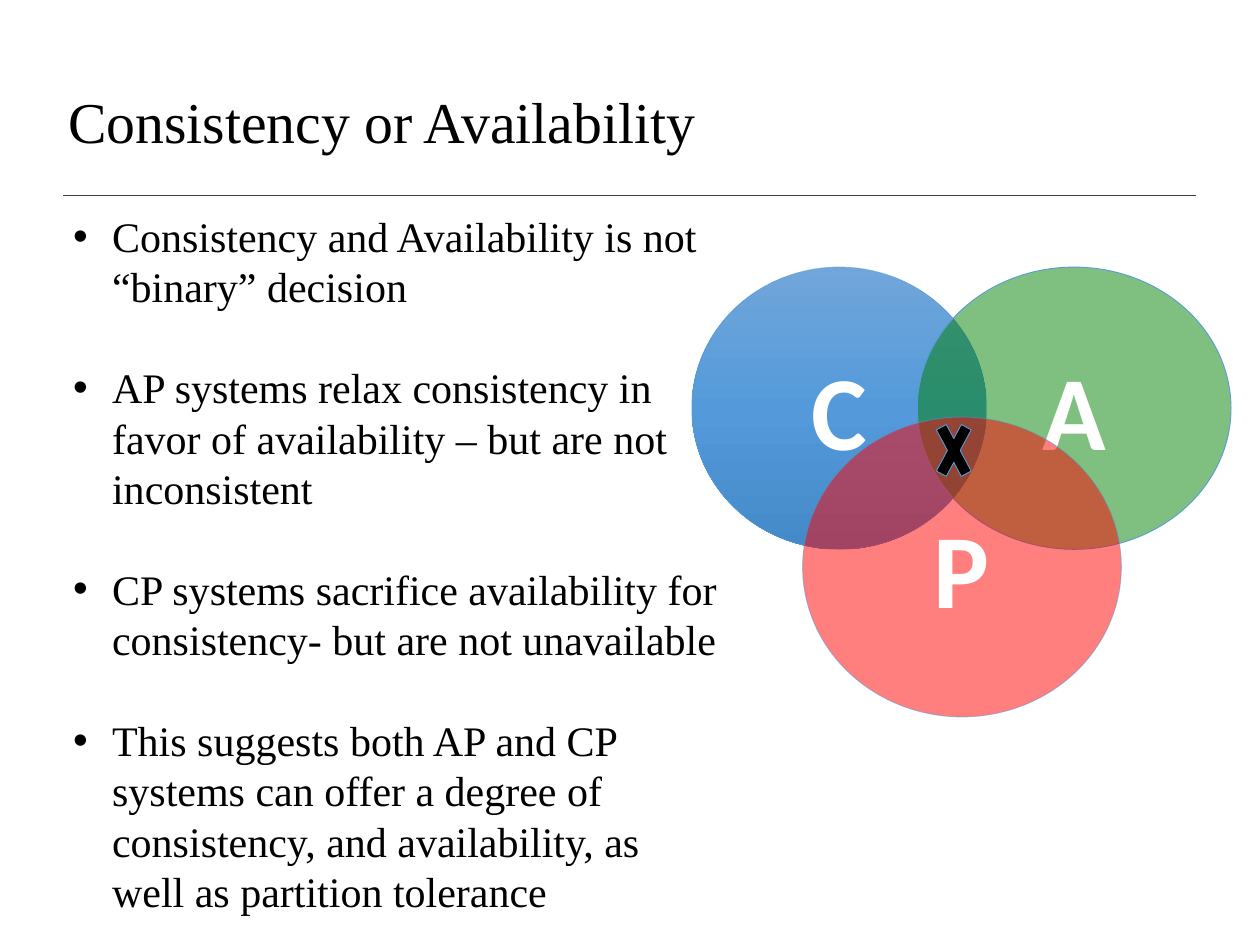
from copy import deepcopy

from lxml.etree import SubElement
from pptx import Presentation
from pptx.dml.color import RGBColor
from pptx.enum.shapes import MSO_CONNECTOR, MSO_SHAPE
from pptx.enum.text import MSO_ANCHOR, MSO_AUTO_SIZE, PP_ALIGN
from pptx.oxml.ns import qn
from pptx.util import Inches, Pt

SERIF = "Times New Roman"
BULLETS = [
    "Consistency and Availability is not “binary” decision",
    "AP systems relax consistency in favor of availability – but are not inconsistent",
    "CP systems sacrifice availability for consistency- but are not unavailable",
    "This suggests both AP and CP systems can offer a degree of consistency, "
    "and availability, as well as partition tolerance",
]


def rgb(value):
    """Turn a hex string into a colour."""
    return RGBColor.from_string(value)


def place(sp, left, top, width, height):
    """Move a shape to a box given in inches."""
    sp.left, sp.top = Inches(left), Inches(top)
    sp.width, sp.height = Inches(width), Inches(height)


def write(p, text, size, font=SERIF, color="000000", bold=False,
          align=PP_ALIGN.LEFT, spacing=None, before=0):
    """Write one formatted run into a paragraph."""
    p.alignment, p.line_spacing, p.space_before = align, spacing, Pt(before)
    r = p.add_run()
    r.text = text
    r.font.size, r.font.name, r.font.bold = Pt(size), font, bold
    r.font.color.rgb = rgb(color)


def set_alpha(fill, percent):
    """Make a solid fill partly transparent."""
    clr = fill._xPr.find(qn("a:solidFill"))[0]
    SubElement(clr, qn("a:alpha")).set("val", str(percent * 1000))


def fill_gradient(fill, colors):
    """Fill from top to bottom with three evenly spaced colours."""
    fill.gradient()
    fill.gradient_angle = 270
    stops = fill._fill._gradFill.find(qn("a:gsLst"))
    stops.insert(1, deepcopy(stops[0]))
    for i, (stop, color) in enumerate(zip(fill.gradient_stops, colors)):
        stop.color.rgb = rgb(color)
        stop.position = i / 2


def add_title(s, left, top, width, height):
    """Place the title and the rule under it."""
    sp = s.shapes.title
    place(sp, left, top, width, height)
    tf = sp.text_frame
    tf.vertical_anchor, tf.auto_size = MSO_ANCHOR.MIDDLE, MSO_AUTO_SIZE.NONE
    write(tf.paragraphs[0], "Consistency or Availability", 33, spacing=0.9)
    y = Inches(top + height + 0.04)
    rule = s.shapes.add_connector(MSO_CONNECTOR.STRAIGHT, Inches(0.5), y, Inches(9.49), y)
    rule.line.color.rgb, rule.line.width = rgb("404040"), Pt(0.75)
    SubElement(rule._element.spPr, qn("a:effectLst"))


def add_bullets(s, left, top, width, height):
    """Place the bulleted list with a line's gap between items."""
    sp = s.placeholders[1]
    place(sp, left, top, width, height)
    tf = sp.text_frame
    tf.vertical_anchor, tf.auto_size = MSO_ANCHOR.TOP, MSO_AUTO_SIZE.NONE
    for i, text in enumerate(BULLETS):
        p = tf.add_paragraph() if i else tf.paragraphs[0]
        write(p, text, 24, spacing=Pt(28.8), before=28.8 if i else 0)
        pPr = p._p.get_or_add_pPr()
        pPr.set("marL", str(Inches(0.31)))
        pPr.set("indent", str(-Inches(0.31)))


def add_part(group, kind, box, line):
    """Add an outlined shape without shadow to a group."""
    sp = group.shapes.add_shape(kind, *(Inches(v) for v in box))
    sp.shadow.inherit = False
    sp.line.color.rgb, sp.line.width = rgb(line), Pt(0.5)
    return sp


def add_venn(s, left, top):
    """Draw the three overlapping circles and the cross where they meet."""
    group = s.shapes.add_group_shape()
    circles = [
        ("C", (left, top, 2.34, 2.24), None, "5698D3"),
        ("A", (left + 1.79, top, 2.49, 2.24), "008000", "5B9BD5"),
        ("P", (left + 0.88, top + 1.19, 2.53, 2.38), "FF0000", "5698D3"),
    ]
    for letter, box, color, line in circles:
        sp = add_part(group, MSO_SHAPE.OVAL, box, line)
        if color:
            sp.fill.solid()
            sp.fill.fore_color.rgb = rgb(color)
            set_alpha(sp.fill, 50)
        else:
            fill_gradient(sp.fill, ["71A6DA", "549ADA", "448AC9"])
        if line == "5698D3":
            set_alpha(sp.line.fill, 50)
        tf = sp.text_frame
        tf.vertical_anchor = MSO_ANCHOR.MIDDLE
        write(tf.paragraphs[0], letter, 60, font="Calibri", color="FFFFFF",
              bold=True, align=PP_ALIGN.CENTER)
    cross = add_part(group, MSO_SHAPE.MATH_MULTIPLY,
                     (left + 1.89, top + 1.1, 0.38, 0.71), "5B9BD5")
    cross.adjustments[0] = 0.235
    cross.fill.solid()
    cross.fill.fore_color.rgb = rgb("000000")


def main():
    """Build and save the slide."""
    prs = Presentation()
    prs.slide_width, prs.slide_height = Inches(10), Inches(7.5)
    s = prs.slides.add_slide(prs.slide_layouts[1])
    add_title(s, 0.44, 0.47, 9.33, 1.04)
    add_venn(s, 5.49, 2.12)
    add_bullets(s, 0.48, 1.62, 5.35, 5.7)
    prs.save("out.pptx")


if __name__ == "__main__":
    main()
